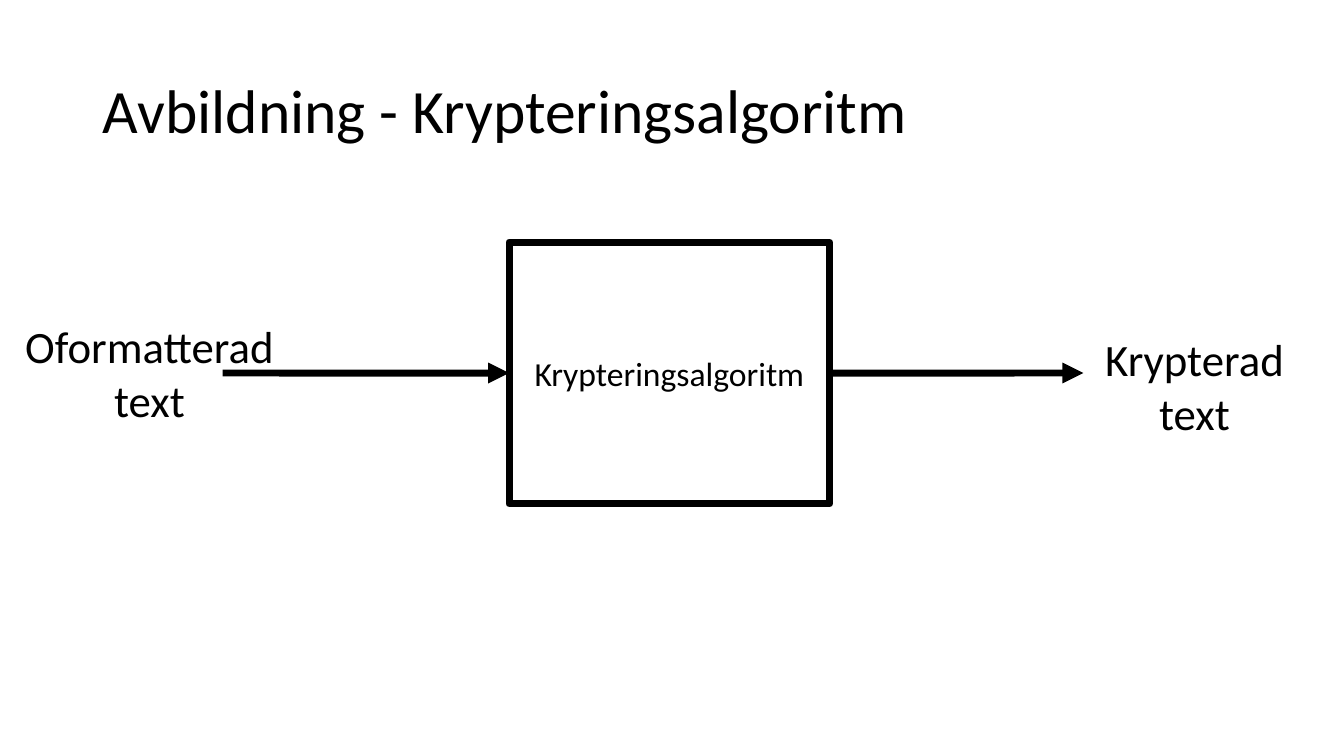
from lxml import etree
from pptx import Presentation
from pptx.dml.color import RGBColor
from pptx.enum.shapes import MSO_CONNECTOR, MSO_SHAPE
from pptx.enum.text import MSO_ANCHOR, MSO_AUTO_SIZE, PP_ALIGN
from pptx.oxml.ns import qn
from pptx.util import Cm, Pt

COLORS = {"ink": "000000", "paper": "FFFFFF"}
RIGHT, LEFT = 3, 1


class Diagram:
    """Draws black-on-white diagram elements on one slide; lengths are in cm."""

    font = "Calibri"
    line_width = Pt(5)

    def __init__(self, slide):
        self.slide = slide
        fill = slide.background.fill
        fill.solid()
        fill.fore_color.rgb = self.color("paper")

    def color(self, name):
        return RGBColor.from_string(COLORS[name])

    def set_text(self, tf, text, size, align):
        tf.word_wrap = True
        p = tf.paragraphs[0]
        p.text = text
        p.alignment = align
        p.font.name = self.font
        p.font.size = Pt(size)
        p.font.color.rgb = self.color("ink")
        return p

    def stroke(self, line):
        line.color.rgb = self.color("ink")
        line.width = self.line_width

    def title(self, text, x, y, w, h):
        sp = self.slide.shapes.title
        sp.left, sp.top, sp.width, sp.height = Cm(x), Cm(y), Cm(w), Cm(h)
        sp.text_frame.vertical_anchor = MSO_ANCHOR.MIDDLE
        p = self.set_text(sp.text_frame, text, 44, PP_ALIGN.LEFT)
        p.line_spacing = 0.9

    def box(self, text, x, y, w, h):
        sp = self.slide.shapes.add_shape(
            MSO_SHAPE.RECTANGLE, Cm(x), Cm(y), Cm(w), Cm(h))
        sp.shadow.inherit = False
        sp.fill.background()
        self.stroke(sp.line)
        sp.text_frame.vertical_anchor = MSO_ANCHOR.MIDDLE
        self.set_text(sp.text_frame, text, 24, PP_ALIGN.CENTER)
        return sp

    def label(self, text, x, y, w, h):
        sp = self.slide.shapes.add_textbox(Cm(x), Cm(y), Cm(w), Cm(h))
        self.set_text(sp.text_frame, text, 32, PP_ALIGN.CENTER)
        sp.text_frame.auto_size = MSO_AUTO_SIZE.SHAPE_TO_FIT_TEXT

    def arrow(self, x1, x2, y):
        """Draws a horizontal arrow with its head at x2."""
        cxn = self.slide.shapes.add_connector(
            MSO_CONNECTOR.STRAIGHT, Cm(x1), Cm(y), Cm(x2), Cm(y))
        self.stroke(cxn.line)
        props = cxn.element.spPr
        etree.SubElement(props.find(qn("a:ln")), qn("a:tailEnd"), type="triangle")
        etree.SubElement(props, qn("a:effectLst"))
        return cxn


def main():
    prs = Presentation()
    prs.slide_width, prs.slide_height = Cm(33.87), Cm(19.05)
    d = Diagram(prs.slides.add_slide(prs.slide_layouts[5]))

    x, y, w, h = 12.83, 6.1, 8.08, 6.6
    middle = y + h / 2
    output_x = 27.3

    d.title("Avbildning - Krypteringsalgoritm", 2.34, 1.02, 29.21, 3.68)
    algorithm = d.box("Krypteringsalgoritm", x, y, w, h)
    d.arrow(5.61, x, middle).end_connect(algorithm, LEFT)
    d.arrow(x + w, output_x, middle).begin_connect(algorithm, RIGHT)
    d.label("Oformatterad text", 0, 7.9, 7.54, 3)
    d.label("Krypterad text", output_x, 8.23, 5.61, 3)

    prs.save("out.pptx")


if __name__ == "__main__":
    main()
